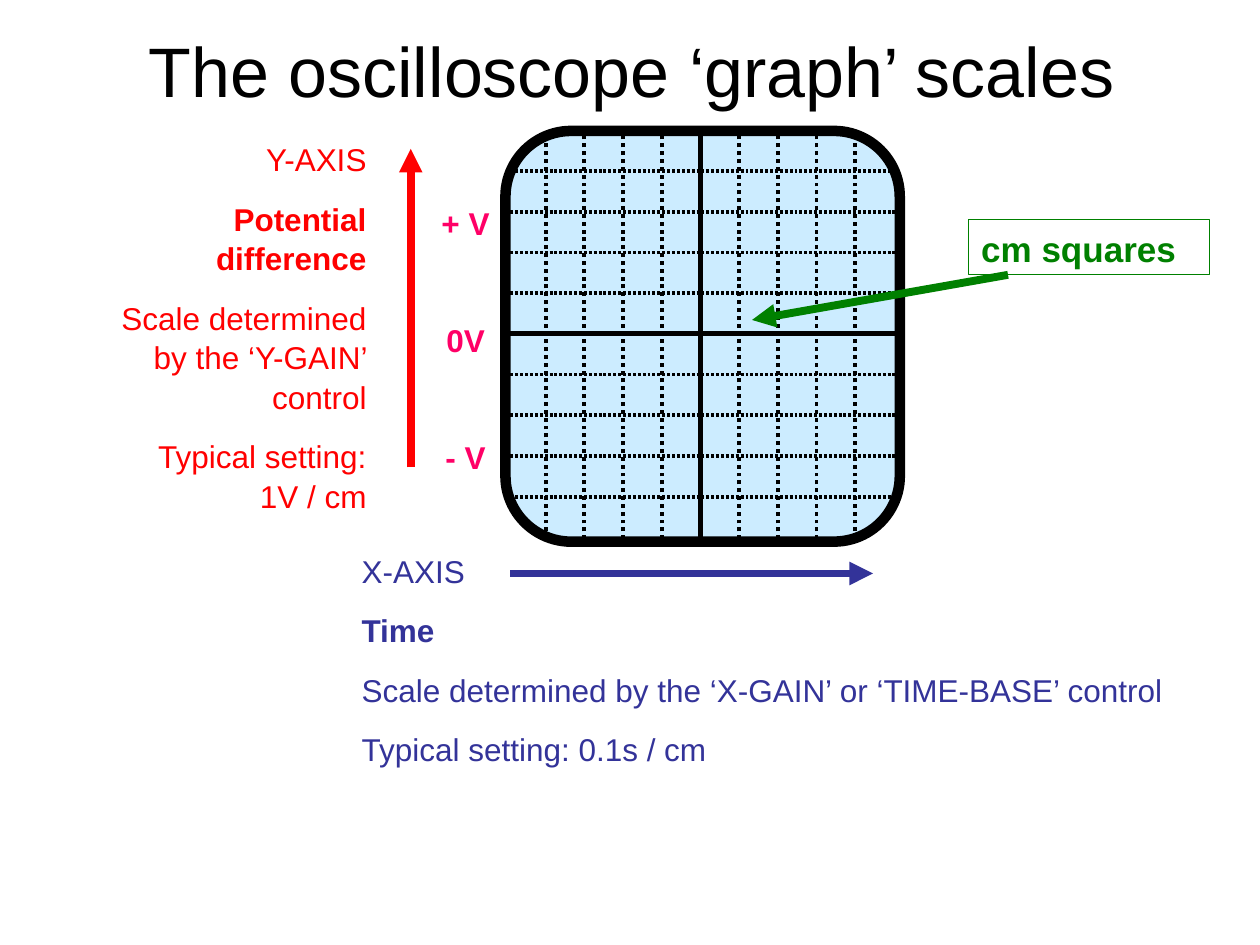
from dataclasses import dataclass

from lxml import etree
from pptx import Presentation
from pptx.dml.color import RGBColor
from pptx.enum.dml import MSO_LINE
from pptx.enum.shapes import MSO_CONNECTOR, MSO_SHAPE
from pptx.enum.text import MSO_ANCHOR, MSO_AUTO_SIZE, PP_ALIGN
from pptx.oxml.ns import qn
from pptx.util import Cm, Pt

LEFT, CENTER, RIGHT = PP_ALIGN.LEFT, PP_ALIGN.CENTER, PP_ALIGN.RIGHT
TOP, MIDDLE = MSO_ANCHOR.TOP, MSO_ANCHOR.MIDDLE
GROW, FIXED = MSO_AUTO_SIZE.SHAPE_TO_FIT_TEXT, MSO_AUTO_SIZE.NONE
STRAIGHT = MSO_CONNECTOR.STRAIGHT
SQUARE_DOT = MSO_LINE.ROUND_DOT  # written as sysDot
RECTANGLE, ROUNDED = MSO_SHAPE.RECTANGLE, MSO_SHAPE.ROUNDED_RECTANGLE


@dataclass(frozen=True)
class Theme:
    font: str = "Arial"
    ink: str = "000000"
    screen: str = "CCECFF"
    y_axis: str = "FF0000"
    x_axis: str = "333399"
    volts: str = "FF0066"
    callout: str = "008000"
    title_size: int = 40
    callout_size: int = 20
    text_size: int = 18
    thin: float = 0.75
    grid: float = 2.25
    axis: float = 3
    arrow: float = 4.5
    bezel: float = 6


def apply(target, values):
    for name, value in values.items():
        setattr(target, name, value)


class SlideBuilder:
    def __init__(self, page, theme):
        self.page = page
        self.theme = theme

    def fill_text(self, box, lines, color, size, align=LEFT, gap=11.2,
                  spacing=1.05, anchor=TOP, fit=GROW):
        """Fill a box with (text, bold) paragraphs."""
        frame = box.text_frame
        apply(frame, {"word_wrap": True, "auto_size": fit, "vertical_anchor": anchor})
        for index, (text, bold) in enumerate(lines):
            para = frame.add_paragraph() if index else frame.paragraphs[0]
            apply(para, {"alignment": align, "space_before": Pt(gap),
                         "line_spacing": spacing})
            span = para.add_run()
            span.text = text
            apply(span.font, {"name": self.theme.font, "size": Pt(size), "bold": bold})
            span.font.color.rgb = RGBColor.from_string(color)

    def title(self, text, place):
        box = self.page.shapes.title
        apply(box, dict(zip(("left", "top", "width", "height"), map(Cm, place))))
        self.fill_text(box, [(text, False)], self.theme.ink, self.theme.title_size,
                       CENTER, gap=0, spacing=1, anchor=MIDDLE, fit=FIXED)

    def text(self, lines, place, color, **options):
        box = self.page.shapes.add_textbox(*map(Cm, place))
        self.fill_text(box, lines, color, self.theme.text_size, **options)

    def shape(self, kind, place, color, width, fill=None):
        box = self.page.shapes.add_shape(kind, *map(Cm, place))
        box.shadow.inherit = False
        if fill:
            box.fill.solid()
            box.fill.fore_color.rgb = RGBColor.from_string(fill)
        else:
            box.fill.background()
        box.line.color.rgb = RGBColor.from_string(color)
        box.line.width = Pt(width)
        return box

    def line(self, start, end, color, width):
        line = self.page.shapes.add_connector(STRAIGHT, *map(Cm, start + end))
        line.line.color.rgb = RGBColor.from_string(color)
        line.line.width = Pt(width)
        etree.SubElement(line._element.spPr, qn("a:effectLst"))
        return line

    def arrow(self, start, end, color):
        line = self.line(start, end, color, self.theme.arrow)
        etree.SubElement(line.line._get_or_add_ln(), qn("a:tailEnd"), type="triangle")

    def fine_dots(self, line):
        dashes = etree.SubElement(line.line._get_or_add_ln(), qn("a:custDash"))
        etree.SubElement(dashes, qn("a:ds"), d="75000", sp="50000")

    def graticule(self, place, count=9, first=(11, 3.45), step=(0.78, 0.82)):
        """Screen with dotted centimetre lines and solid centre axes."""
        theme = self.theme
        self.shape(ROUNDED, place, theme.ink, theme.bezel, theme.screen)
        left, right, top, bottom = 10.29, 18.06, 2.69, 10.87
        middle = count // 2
        for index in range(count):
            x, y = (start + index * gap for start, gap in zip(first, step))
            width = theme.axis if index == middle else theme.grid
            row = self.line((left, y), (right, y), theme.ink, width)
            column = self.line((x, bottom), (x, top), theme.ink, width)
            if index != middle:
                self.fine_dots(row)
                column.line.dash_style = SQUARE_DOT


def main():
    theme = Theme()
    deck = Presentation()
    deck.slide_width, deck.slide_height = Cm(25.4), Cm(19.05)
    page = deck.slides.add_slide(deck.slide_layouts[5])
    build = SlideBuilder(page, theme)

    build.title("The oscilloscope ‘graph’ scales", (1.27, 0.51, 22.91, 1.78))

    # Vertical axis and its notes
    build.arrow((8.28, 9.42), (8.28, 3), theme.y_axis)
    build.text([("Y-AXIS", False), ("Potential difference", True),
                ("Scale determined by the ‘Y-GAIN’ control", False),
                ("Typical setting: 1V / cm", False)],
               (2.18, 2.67, 5.46, 7.54), theme.y_axis, align=RIGHT)

    # Horizontal axis and its notes
    build.arrow((10.29, 11.56), (17.6, 11.56), theme.x_axis)
    build.text([("X-AXIS", False), ("Time", True),
                ("Scale determined by the ‘X-GAIN’ or ‘TIME-BASE’ control", False),
                ("Typical setting: 0.1s / cm", False)],
               (7.04, 10.97, 17.17, 4.5), theme.x_axis)

    # Oscilloscope screen
    build.graticule((10.19, 2.64, 7.95, 8.28))

    # Callout for the grid squares
    callout = build.shape(RECTANGLE, (19.53, 4.42, 4.85, 1.12),
                          theme.callout, theme.thin)
    build.fill_text(callout, [("cm squares", True)], theme.callout, theme.callout_size)
    build.arrow((20.32, 5.54), (15.16, 6.45), theme.callout)

    # Voltage labels
    build.text([("+ V", True), ("0V", True), ("- V", True)],
               (8.23, 3.96, 2.31, 5.66), theme.volts, align=CENTER, gap=44)

    deck.save("out.pptx")


if __name__ == "__main__":
    main()
